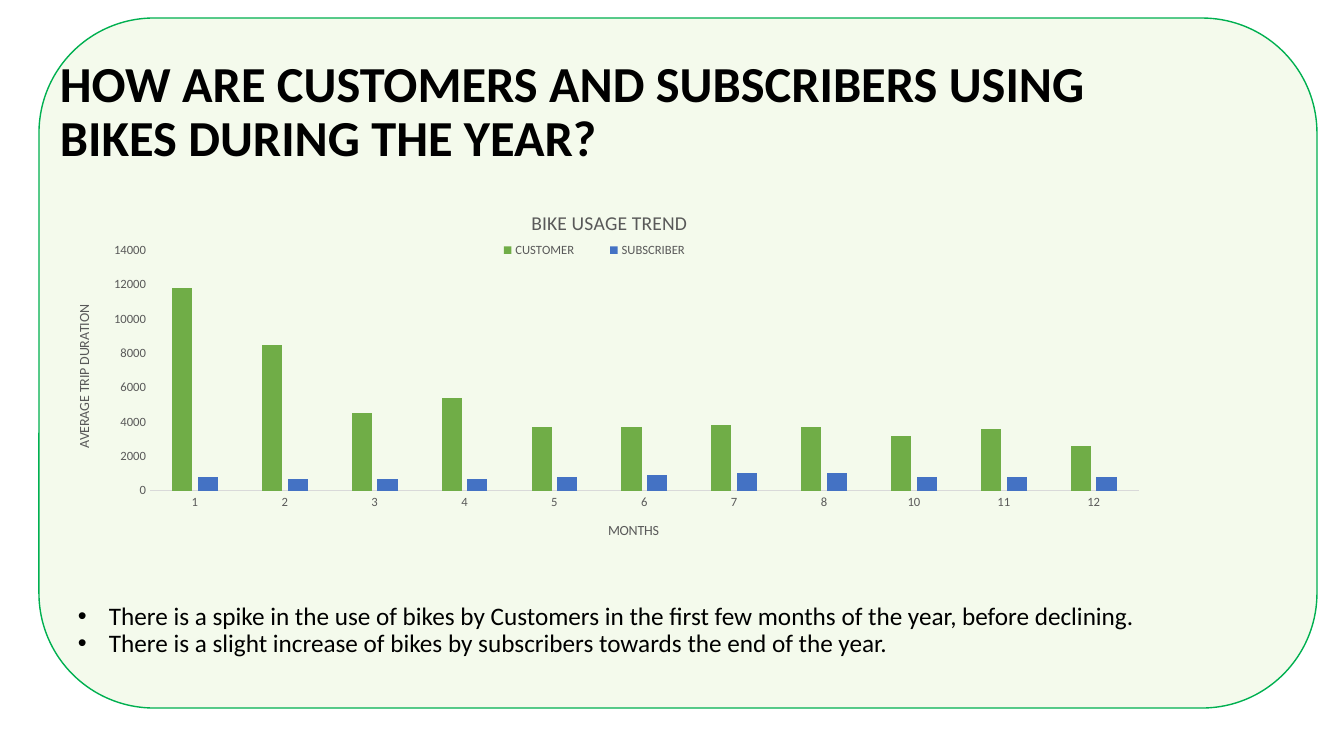
from lxml.etree import SubElement
from pptx import Presentation
from pptx.chart.data import CategoryChartData
from pptx.dml.color import RGBColor
from pptx.enum.chart import XL_CHART_TYPE as ChartType, XL_LEGEND_POSITION as LegendPos, XL_TICK_MARK as Tick
from pptx.enum.shapes import MSO_SHAPE as Shape
from pptx.enum.text import MSO_ANCHOR as Anchor
from pptx.oxml import parse_xml
from pptx.oxml.ns import nsdecls, qn
from pptx.util import Emu, Pt

FONT = "Calibri"
BLACK, GREY, PALE_GREY = "000000", "595959", "D9D9D9"
PANEL_FILL, PANEL_LINE = "F4FAEC", "00B050"


def px(length):
    return Emu(round(length * 914400 / 100.8))


def color(value):
    return RGBColor.from_string(value)


def style_font(font, size, tint, bold=False):
    font.name, font.size, font.bold = FONT, Pt(size), bold
    font.color.rgb = color(tint)


def write(frame, text, size=18, tint=BLACK, bold=False, spacing=None, bullet=False):
    for index, sentence in enumerate(text.split("\n")):
        paragraph = frame.add_paragraph() if index else frame.paragraphs[0]
        if spacing:
            paragraph.line_spacing = spacing
        run = paragraph.add_run()
        run.text = sentence
        style_font(run.font, size, tint, bold)
        if bullet:
            properties = paragraph._p.get_or_add_pPr()
            properties.set("marL", str(px(31)))
            properties.set("indent", str(-px(31)))
            SubElement(properties, qn("a:buFont")).set("typeface", "Arial")
            SubElement(properties, qn("a:buChar")).set("char", "•")


def place(element, inner=False, **fractions):
    for previous in element.findall(qn("c:layout")):
        element.remove(previous)
    target = '<c:layoutTarget val="inner"/>' if inner else ""
    modes = "".join(f'<c:{side}Mode val="edge"/>' for side in "xy")
    sizes = "".join(f'<c:{key} val="{value}"/>' for key, value in fractions.items())
    layout = parse_xml(
        f'<c:layout {nsdecls("c")}><c:manualLayout>{target}{modes}{sizes}</c:manualLayout></c:layout>'
    )
    leaders = [child for child in element if child.tag in (qn("c:tx"), qn("c:legendPos"))]
    element.insert(len(leaders), layout)


class BikeSlide:
    def __init__(self):
        self.deck = Presentation()
        self.deck.slide_width, self.deck.slide_height = px(1344), px(756)
        self.slide = self.deck.slides.add_slide(self.deck.slide_layouts[6])

    def panel(self, *box):
        panel = self.slide.shapes.add_shape(Shape.ROUNDED_RECTANGLE, *map(px, box))
        panel.shadow.inherit = False
        panel.fill.solid()
        panel.fill.fore_color.rgb = color(PANEL_FILL)
        panel.line.color.rgb = color(PANEL_LINE)
        panel.line.width = Pt(1)

    def text(self, text, *box, **style):
        frame = self.slide.shapes.add_textbox(*map(px, box)).text_frame
        frame.word_wrap = True
        frame.vertical_anchor = Anchor.MIDDLE
        write(frame, text, **style)

    def columns(self, months, usage, *box):
        data = CategoryChartData()
        data.categories = months
        for rider, (_, durations) in usage.items():
            data.add_series(rider, durations)
        chart = self.slide.shapes.add_chart(
            ChartType.COLUMN_CLUSTERED, *map(px, box), data
        ).chart
        style_font(chart.font, 10, BLACK)
        chart._chartSpace.find(qn("c:chart")).addnext(parse_xml(
            f'<c:spPr {nsdecls("c", "a")}><a:noFill/><a:ln><a:noFill/></a:ln></c:spPr>'
        ))
        place(chart._chartSpace.chart.plotArea, inner=True, x=0.09, y=0.16, w=0.89, h=0.6)

        plot = chart.plots[0]
        plot.gap_width, plot.overlap, plot.vary_by_categories = 219, -27, False
        for series, (tint, _) in zip(plot.series, usage.values()):
            series.format.fill.solid()
            series.format.fill.fore_color.rgb = color(tint)

        chart.has_legend = True
        chart.legend.position = LegendPos.BOTTOM
        chart.legend.include_in_layout = False
        style_font(chart.legend.font, 9, GREY)
        place(chart.legend._element, x=0.38, y=0.13, w=0.22, h=0.06)

        month_axis, duration_axis = chart.category_axis, chart.value_axis
        duration_axis.minimum_scale, duration_axis.maximum_scale = 0, 14000
        duration_axis.major_unit = 2000
        duration_axis.has_major_gridlines = False
        for axis in (month_axis, duration_axis):
            axis.major_tick_mark = axis.minor_tick_mark = Tick.NONE
            style_font(axis.tick_labels.font, 9, GREY)
        month_axis.format.line.color.rgb = color(PALE_GREY)
        month_axis.format.line.width = Pt(0.75)
        duration_axis.format.line.fill.background()

        for owner, title, size, x, y in (
            (chart, "BIKE USAGE TREND", 14, 0.43, 0.05),
            (month_axis, "MONTHS", 10, 0.5, 0.83),
            (duration_axis, "AVERAGE TRIP DURATION", 10, 0.02, 0.29),
        ):
            heading = owner.chart_title if owner is chart else owner.axis_title
            write(heading.text_frame, title, size=size, tint=GREY)
            place(heading._element, x=x, y=y)
        duration_axis.axis_title.text_frame._txBody.bodyPr.set("rot", "-5400000")

    def save(self):
        self.deck.save("out.pptx")


def main():
    months = ["1", "2", "3", "4", "5", "6", "7", "8", "10", "11", "12"]
    usage = {
        "CUSTOMER": ("70AD47", [11800, 8500, 4500, 5400, 3700, 3700, 3800, 3700, 3200, 3600, 2600]),
        "SUBSCRIBER": ("4472C4", [800, 700, 700, 700, 800, 900, 1000, 1000, 800, 800, 800]),
    }
    findings = (
        "There is a spike in the use of bikes by Customers in the first few months of the year, before declining.\n"
        "There is a slight increase of bikes by subscribers towards the end of the year."
    )
    page = BikeSlide()
    page.panel(39, 18, 1278, 690)
    page.text(
        "HOW ARE CUSTOMERS AND SUBSCRIBERS USING BIKES DURING THE YEAR?",
        50, 40, 1159, 146, size=36, bold=True, spacing=0.9,
    )
    page.columns(months, usage, 50, 186, 1111, 401)
    page.text(findings, 68, 588, 1159, 85, spacing=0.9, bullet=True)
    page.save()


if __name__ == "__main__":
    main()
